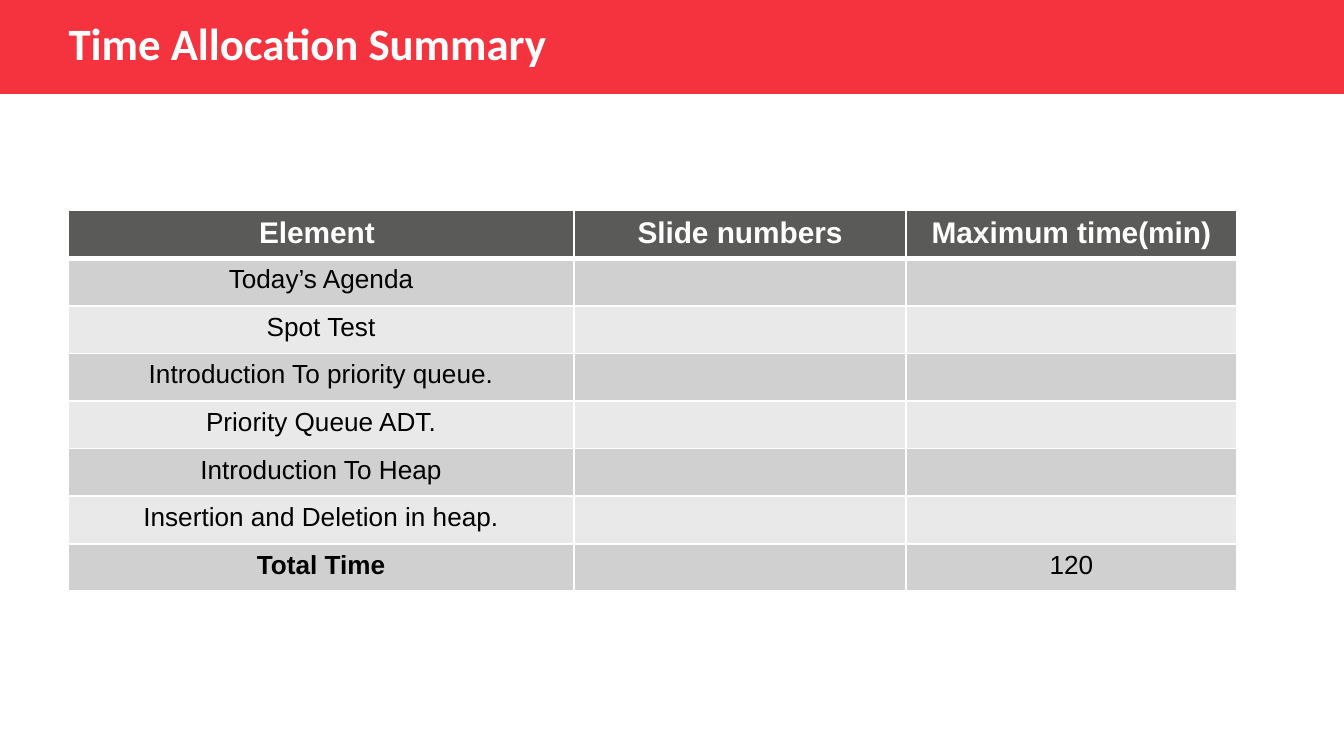
from lxml.etree import SubElement
from pptx import Presentation
from pptx.dml.color import RGBColor
from pptx.enum.shapes import MSO_SHAPE
from pptx.enum.text import MSO_ANCHOR, MSO_AUTO_SIZE, PP_ALIGN
from pptx.oxml.ns import qn
from pptx.util import Pt

HEADINGS = ["Element\N{NO-BREAK SPACE}", "Slide numbers", "Maximum time(min)"]
ROWS = [
    ["Today’s Agenda", "", ""],
    ["Spot Test", "", ""],
    ["Introduction To priority queue.", "", ""],
    ["Priority Queue ADT.", "", ""],
    ["Introduction To Heap", "", ""],
    ["Insertion and Deletion in heap.", "", ""],
    ["Total Time", "", "120"],
]


def color(value):
    return RGBColor.from_string(value)


class SlideBuilder:
    red, white, black = "F4333F", "FFFFFF", "000000"
    header_fill = "5A5A59"
    band_fills = ["D0D0D0", "E9E9E9"]

    def __init__(self, page):
        self.page = page

    def style(self, para, font, size, text_color, bold=False):
        para.font.name = font
        para.font.size = Pt(size)
        para.font.bold = bold
        para.font.color.rgb = color(text_color)

    def band(self, left, top, width, height):
        box = self.page.shapes.add_shape(
            MSO_SHAPE.RECTANGLE, Pt(left), Pt(top), Pt(width), Pt(height))
        box.shadow.inherit = False
        box.fill.solid()
        box.fill.fore_color.rgb = color(self.red)
        box.line.fill.background()

    def title(self, text, left, top, width, height):
        box = self.page.shapes.title
        box.left, box.top, box.width, box.height = map(Pt, (left, top, width, height))
        self.page.shapes.element.append(box.element)  # in front of the band
        frame = box.text_frame
        frame.text = text
        frame.auto_size = MSO_AUTO_SIZE.NONE
        frame.vertical_anchor = MSO_ANCHOR.MIDDLE
        para = frame.paragraphs[0]
        para.alignment = PP_ALIGN.LEFT
        para.space_before = Pt(10)
        self.style(para, "Calibri", 24, self.white, bold=True)

    def border(self, cell, side, width):
        line = SubElement(cell._tc.get_or_add_tcPr(), qn(f"a:ln{side}"), w=str(Pt(width)))
        fill = SubElement(line, qn("a:solidFill"))
        SubElement(fill, qn("a:srgbClr"), val=self.white)

    def cell(self, cell, text, fill, size, text_color, bold, widths):
        """Fill one cell; widths gives the left, right, top and bottom borders."""
        for side, width in zip("LRTB", widths):
            self.border(cell, side, width)
        cell.fill.solid()
        cell.fill.fore_color.rgb = color(fill)
        cell.text = text
        para = cell.text_frame.paragraphs[0]
        para.alignment = PP_ALIGN.CENTER
        self.style(para, "Arial", size, text_color, bold)
        if not text:  # keeps the empty line from stretching the row
            SubElement(para._p, qn("a:endParaRPr"), sz=str(size * 100))

    def table(self, headings, rows, left, top, column_widths, header_height, row_height):
        height = header_height + row_height * len(rows)
        table = self.page.shapes.add_table(
            len(rows) + 1, len(headings), Pt(left), Pt(top),
            Pt(sum(column_widths)), Pt(height)).table
        for column, width in zip(table.columns, column_widths):
            column.width = Pt(width)
        for row in table.rows:
            row.height = Pt(row_height)
        table.rows[0].height = Pt(header_height)

        for column, text in enumerate(headings):
            self.cell(table.cell(0, column), text, self.header_fill, 16,
                      self.white, True, (1, 1, 1, 3))
        for number, row in enumerate(rows, start=1):
            fill = self.band_fills[(number - 1) % 2]
            top_border = 3 if number == 1 else 1
            for column, text in enumerate(row):
                self.cell(table.cell(number, column), text, fill, 14, self.black,
                          text == "Total Time", (1, 1, top_border, 1))


def main():
    deck = Presentation()
    deck.slide_width, deck.slide_height = Pt(720), Pt(405)
    page = deck.slides.add_slide(deck.slide_layouts[5])
    builder = SlideBuilder(page)
    builder.band(0, 0, 720, 50.4)
    builder.title("Time Allocation Summary", 29.5, -8, 481.5, 62)
    builder.table(HEADINGS, ROWS, left=36.5, top=112.5,
                  column_widths=[271, 178, 177], header_height=25.9, row_height=25.5)
    deck.save("out.pptx")


if __name__ == "__main__":
    main()
